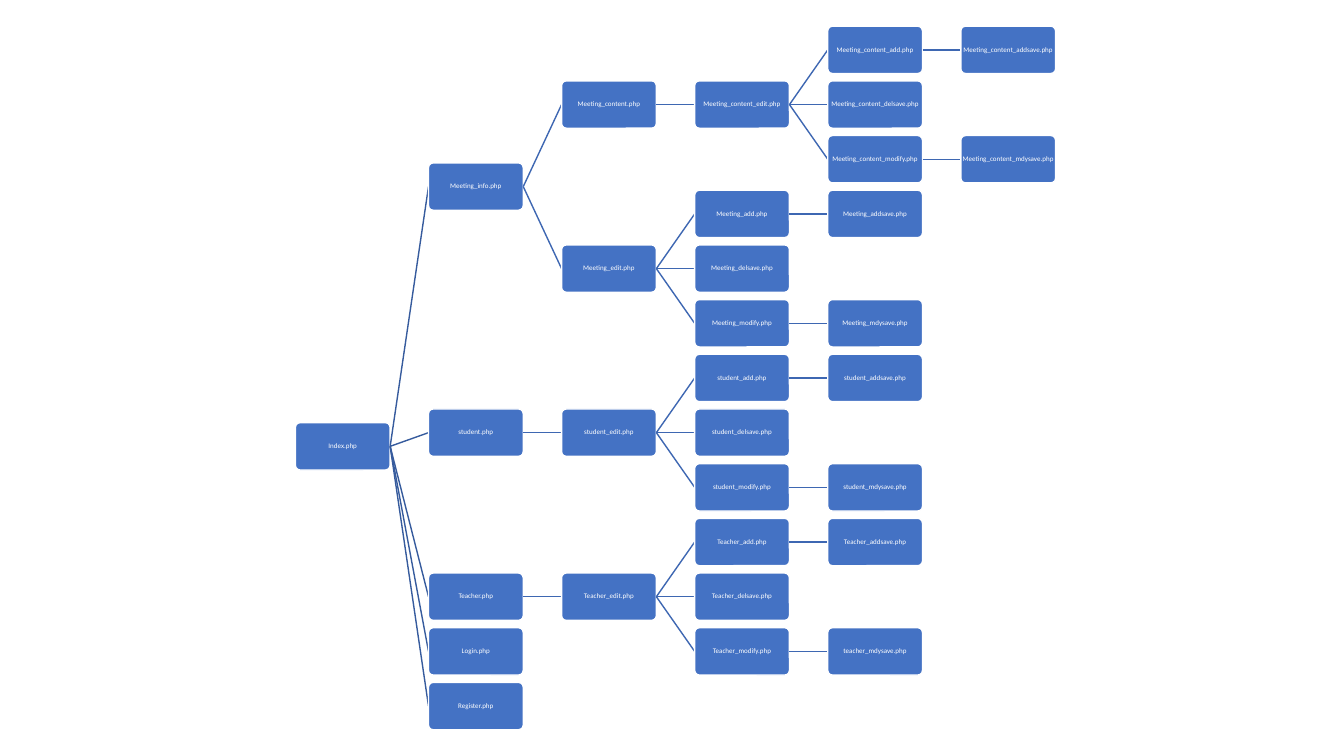
from collections import Counter

from lxml import etree
from pptx import Presentation
from pptx.dml.color import RGBColor
from pptx.enum import shapes, text
from pptx.oxml import ns
from pptx.util import Inches, Pt

# Each page is (name, [pages reached from it])
SITE = ("Index.php", [
    ("Meeting_info.php", [
        ("Meeting_content.php", [
            ("Meeting_content_edit.php", [
                ("Meeting_content_add.php", [("Meeting_content_addsave.php", [])]),
                ("Meeting_content_delsave.php", []),
                ("Meeting_content_modify.php", [("Meeting_content_mdysave.php", [])]),
            ]),
        ]),
        ("Meeting_edit.php", [
            ("Meeting_add.php", [("Meeting_addsave.php", [])]),
            ("Meeting_delsave.php", []),
            ("Meeting_modify.php", [("Meeting_mdysave.php", [])]),
        ]),
    ]),
    ("student.php", [
        ("student_edit.php", [
            ("student_add.php", [("student_addsave.php", [])]),
            ("student_delsave.php", []),
            ("student_modify.php", [("student_mdysave.php", [])]),
        ]),
    ]),
    ("Teacher.php", [
        ("Teacher_edit.php", [
            ("Teacher_add.php", [("Teacher_addsave.php", [])]),
            ("Teacher_delsave.php", []),
            ("Teacher_modify.php", [("teacher_mdysave.php", [])]),
        ]),
    ]),
    ("Login.php", []),
    ("Register.php", []),
])

COLORS = {"box": "4472C4", "white": "FFFFFF", "trunk": "365B9D", "branch": "3E67B2"}
LEFT, TOP = 2.93, 0.26
WIDTH, HEIGHT = 0.94, 0.47
COL_STEP = 1.32
ROW_STEP = 6.51 / 12


def color(name):
    return RGBColor.from_string(COLORS[name])


def place(page, col, low, free):
    """Give a page the first free row of its column, or the middle of its children."""
    name, kids = page
    low = max(low, free[col])
    nodes = [place(kid, col + 1, low, free) for kid in kids]
    row = (nodes[0]["row"] + nodes[-1]["row"]) / 2 if nodes else low
    free[col] = row + 1
    return {"name": name, "col": col, "row": row, "kids": nodes}


def corner(node):
    return LEFT + node["col"] * COL_STEP, TOP + node["row"] * ROW_STEP


def add_box(slide, node):
    x, y = corner(node)
    box = slide.shapes.add_shape(
        shapes.MSO_SHAPE.ROUNDED_RECTANGLE,
        Inches(x), Inches(y), Inches(WIDTH), Inches(HEIGHT))
    box.adjustments[0] = 0.1
    box.shadow.inherit = False
    box.fill.solid()
    box.fill.fore_color.rgb = color("box")
    box.line.color.rgb = color("white")
    box.line.width = Pt(1)
    frame = box.text_frame
    frame.word_wrap = False
    frame.vertical_anchor = text.MSO_ANCHOR.MIDDLE
    frame.margin_left = frame.margin_right = 0
    frame.margin_top = frame.margin_bottom = 0
    para = frame.paragraphs[0]
    para.text = node["name"]
    para.alignment = text.PP_ALIGN.CENTER
    para.line_spacing = 0.9
    para.font.name = "Calibri"
    para.font.size = Pt(5)
    para.font.color.rgb = color("white")


def add_link(slide, node, kid):
    x1, y1 = corner(node)
    x2, y2 = corner(kid)
    link = slide.shapes.add_connector(
        shapes.MSO_CONNECTOR.STRAIGHT,
        Inches(x1 + WIDTH), Inches(y1 + HEIGHT / 2),
        Inches(x2), Inches(y2 + HEIGHT / 2))
    link.line.color.rgb = color("branch" if node["col"] else "trunk")
    link.line.width = Pt(1)
    etree.SubElement(link._element.spPr, ns.qn("a:effectLst"))


def draw(slide, node):
    add_box(slide, node)
    for kid in node["kids"]:
        add_link(slide, node, kid)
        draw(slide, kid)


def main():
    deck = Presentation()
    deck.slide_width, deck.slide_height = Inches(13.33), Inches(7.5)
    slide = deck.slides.add_slide(deck.slide_layouts[6])
    draw(slide, place(SITE, 0, 0, Counter()))
    deck.save("out.pptx")


if __name__ == "__main__":
    main()
